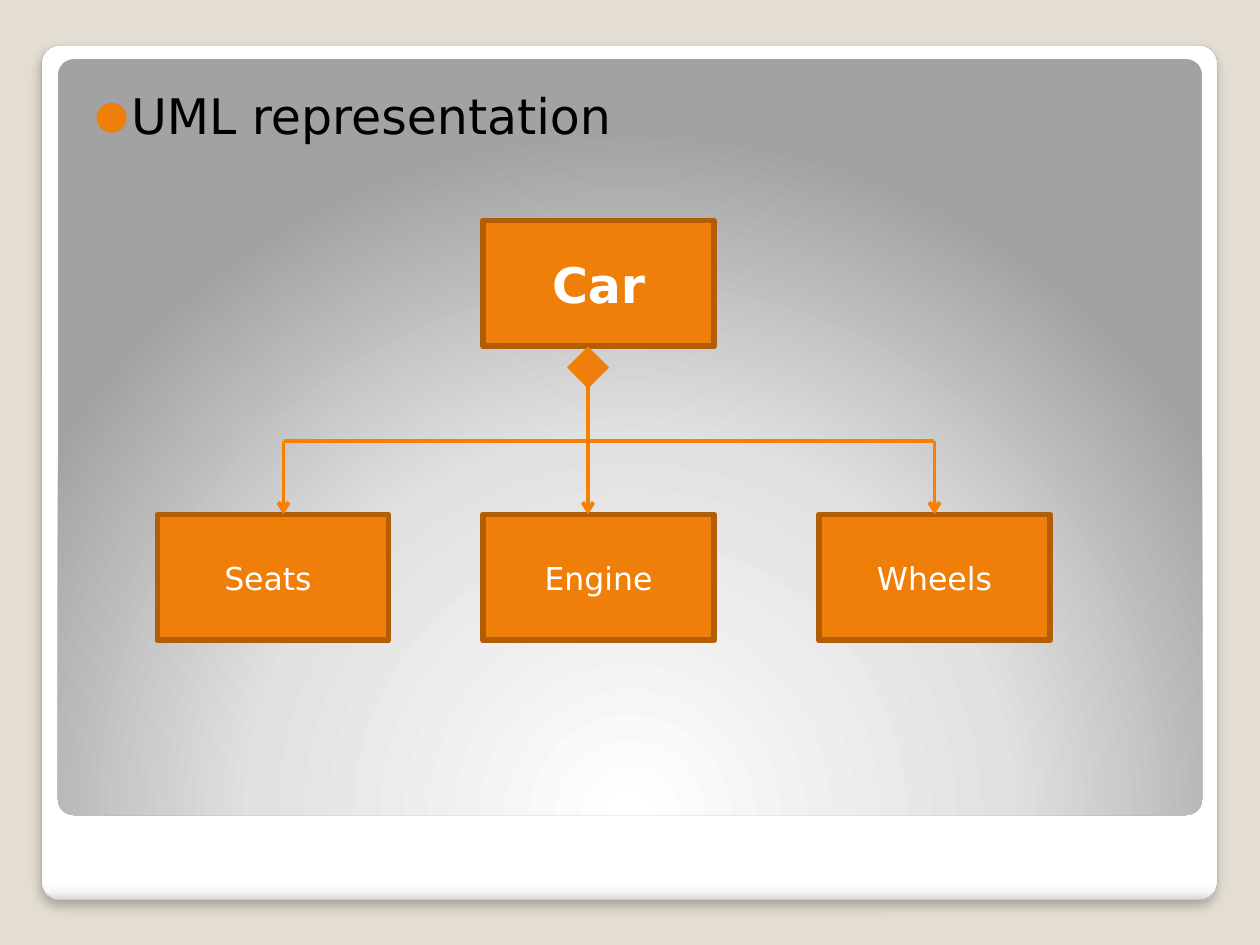
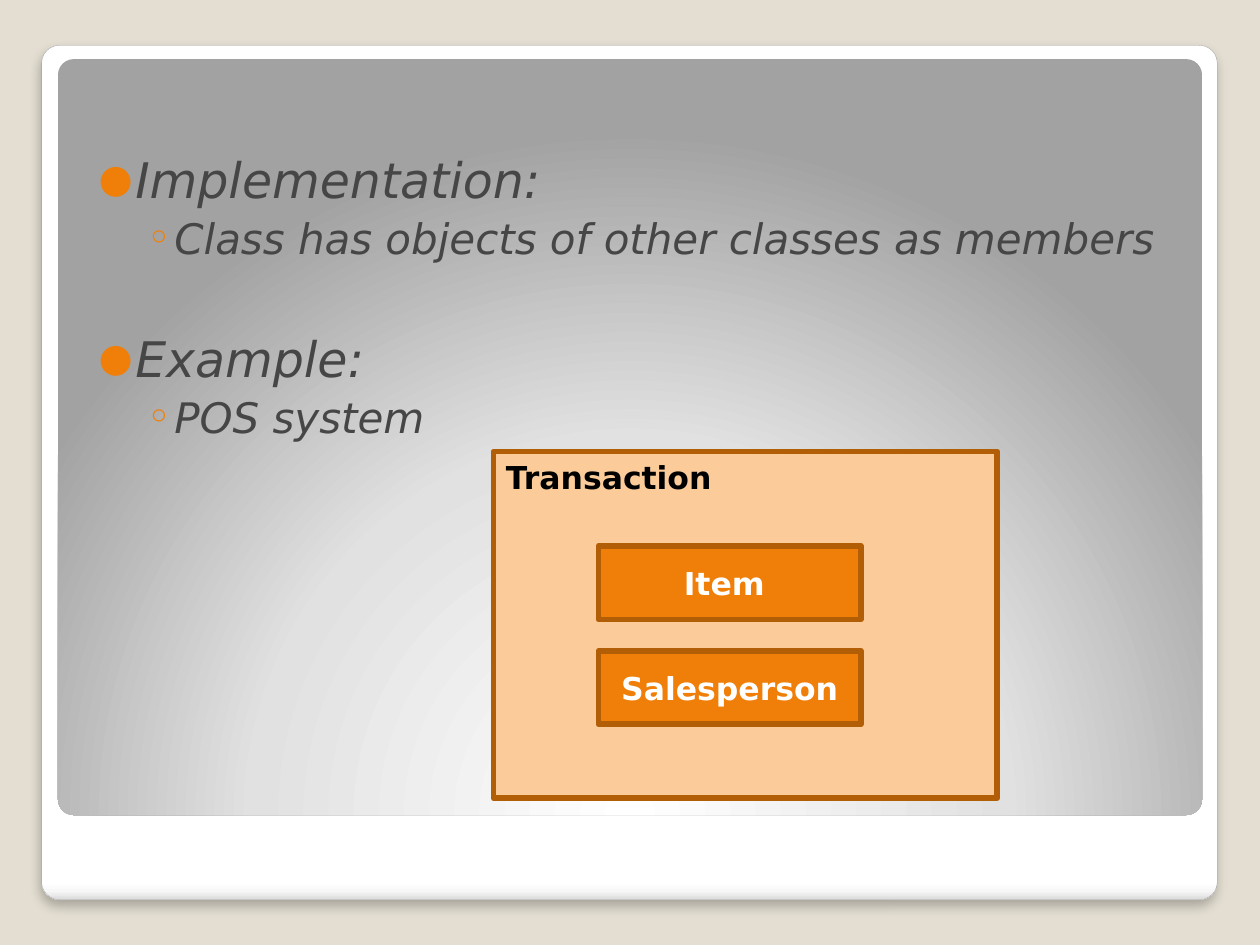
"""Builds two slides on class composition: a UML tree and a nested-class example."""
from lxml import etree
from pptx import Presentation
from pptx.dml.color import RGBColor
from pptx.enum.shapes import MSO_CONNECTOR, MSO_SHAPE as SHAPE
from pptx.enum.text import MSO_ANCHOR as ANCHOR, PP_ALIGN as ALIGN
from pptx.oxml import parse_xml
from pptx.oxml.ns import nsdecls, qn
from pptx.util import Pt

COLORS = {
    "page": "E3DED1", "frame_line": "A4A4A4", "orange": "F07F09", "edge": "B25E07",
    "wire": "F97F00", "pale": "FBCC9A", "white": "FFFFFF", "black": "000000", "body": "464646",
}
FONT = "DejaVu Sans"
FRAME = (23.8, 25.9, 671.8, 488.2)
FRAME_STOPS = [(0, "FFFFFF"), (98, "FFFFFF"), (99, "F7F7F7"), (100, "DADADA")]
PANEL = (33.1, 33.8, 653.8, 432)
PANEL_STOPS = [(0, "FFFFFF"), (55, "E1E1E1"), (100, "A2A2A2")]
LINEAR = '<a:lin ang="5400000" scaled="0"/>'
RADIAL = '<a:path path="circle"><a:fillToRect l="50000" t="175000" r="50000" b="-75000"/></a:path>'

LEVELS = [
    {"size": 28, "left": 20.9, "hang": 20.9, "char": "\u25cf", "scale": 80},
    {"size": 24, "left": 43.2, "hang": 15.8, "char": "\u25e6", "scale": 100},
]
GAP, SECTION_GAP = 2.5, 37.6

UML_TITLE = [(0, "UML representation", GAP)]
WHOLE = "Car"
PARTS = [("Seats ", 90, 162), ("Engine", 276, 336), ("Wheels", 468, 534)]
BOX_W, BOX_H = 132, 72
WHOLE_TOP, BAR_Y, PARTS_TOP = 126, 252, 294
DIAMOND = 24

NOTES = [
    (0, "Implementation:", GAP),
    (1, "Class has objects of other classes as members", GAP),
    (0, "Example: ", SECTION_GAP),
    (1, "POS system ", GAP),
]
OUTER = "Transaction "
MEMBERS = ["Item ", "Salesperson"]
MEMBER_TOP, MEMBER_STEP = 312, 60


def rgb(name):
    return RGBColor.from_string(COLORS[name])


def add_run(p, text, size, color, bold=False, italic=False):
    r = p.add_run()
    r.text = text
    f = r.font
    f.name, f.size, f.bold, f.italic = FONT, Pt(size), bold, italic
    f.color.rgb = rgb(color)


def add_shape(s, kind, at, fill=None, line=None, width=3.35):
    sp = s.shapes.add_shape(kind, *map(Pt, at))
    sp.shadow.inherit = False
    if fill:
        sp.fill.solid()
        sp.fill.fore_color.rgb = rgb(fill)
    if line:
        sp.line.color.rgb = rgb(line)
        sp.line.width = Pt(width)
    else:
        sp.line.fill.background()
    return sp


def add_panel(s, at, stops, direction, line=None):
    sp = add_shape(s, SHAPE.ROUNDED_RECTANGLE, at, line=line, width=0.16)
    sp.adjustments[0] = 0.021
    gs = "".join(f'<a:gs pos="{pos * 1000}"><a:srgbClr val="{c}"/></a:gs>' for pos, c in stops)
    grad = f'<a:gradFill {nsdecls("a")} rotWithShape="1"><a:gsLst>{gs}</a:gsLst>{direction}</a:gradFill>'
    sp._element.spPr.find(qn("a:prstGeom")).addnext(parse_xml(grad))
    return sp


def add_box(s, at, text, size=18, bold=False):
    sp = add_shape(s, SHAPE.RECTANGLE, at, "orange", "edge")
    tf = sp.text_frame
    tf.vertical_anchor = ANCHOR.MIDDLE
    p = tf.paragraphs[0]
    p.alignment = ALIGN.CENTER
    add_run(p, text, size, "white", bold)


def add_wire(s, start, end, head=None, tail=None):
    cx = s.shapes.add_connector(MSO_CONNECTOR.STRAIGHT, *map(Pt, start + end))
    cx.line.color.rgb = rgb("wire")
    cx.line.width = Pt(2.25)
    spPr = cx._element.spPr
    for tag, kind in (("a:headEnd", head), ("a:tailEnd", tail)):
        if kind:
            etree.SubElement(spPr.find(qn("a:ln")), qn(tag), type=kind)
    etree.SubElement(spPr, qn("a:effectLst"))


def add_bullets(s, at, items, color, italic=False):
    tf = s.shapes.add_textbox(*map(Pt, at)).text_frame
    tf.word_wrap = True
    tf.margin_left, tf.margin_top = Pt(14.4), Pt(7.2)
    for i, (level, text, before) in enumerate(items):
        p = tf.add_paragraph() if i else tf.paragraphs[0]
        style = LEVELS[level]
        p.level, p.space_before = level, Pt(before)
        pPr = p._p.get_or_add_pPr()
        pPr.set("marL", str(Pt(style["left"])))
        pPr.set("indent", str(-Pt(style["hang"])))
        clr = etree.SubElement(pPr, qn("a:buClr"))
        etree.SubElement(clr, qn("a:srgbClr"), val=COLORS["orange"])
        etree.SubElement(pPr, qn("a:buSzPct"), val=str(style["scale"] * 1000))
        etree.SubElement(pPr, qn("a:buFont"), typeface=FONT)
        etree.SubElement(pPr, qn("a:buChar"), char=style["char"])
        add_run(p, text, style["size"], color, italic=italic)


def add_slide(prs):
    s = prs.slides.add_slide(prs.slide_layouts[6])
    s.background.fill.solid()
    s.background.fill.fore_color.rgb = rgb("page")
    frame = add_panel(s, FRAME, FRAME_STOPS, LINEAR, "frame_line")
    shadow = etree.SubElement(frame._element.spPr.find(qn("a:effectLst")), qn("a:outerShdw"),
                              blurRad=str(Pt(6)), dist=str(Pt(4)), dir="5400000",
                              algn="t", rotWithShape="0")
    clr = etree.SubElement(shadow, qn("a:srgbClr"), val=COLORS["black"])
    etree.SubElement(clr, qn("a:alpha"), val="25000")
    add_panel(s, PANEL, PANEL_STOPS, RADIAL)
    return s


def build_uml(prs):
    s = add_slide(prs)
    add_bullets(s, (39.6, 41.8, 644.4, 329.8), UML_TITLE, "black")
    _, middle_x, trunk_x = PARTS[1]
    add_box(s, (middle_x, WHOLE_TOP, BOX_W, BOX_H), WHOLE, 28, True)
    for text, x, _ in PARTS:
        add_box(s, (x, PARTS_TOP, BOX_W, BOX_H), text)
    whole_bottom = WHOLE_TOP + BOX_H
    add_wire(s, (trunk_x, whole_bottom + DIAMOND * 0.75), (trunk_x, BAR_Y), head="diamond")
    add_shape(s, SHAPE.DIAMOND, (trunk_x - DIAMOND / 2, whole_bottom, DIAMOND, DIAMOND), "orange")
    add_wire(s, (PARTS[0][2], BAR_Y), (PARTS[-1][2], BAR_Y))
    for _, _, x in PARTS:
        add_wire(s, (x, BAR_Y), (x, PARTS_TOP), tail="arrow")


def build_example(prs):
    s = add_slide(prs)
    add_bullets(s, (42, 78, 644.4, 384), NOTES, "body", italic=True)
    outer = add_shape(s, SHAPE.RECTANGLE, (282, 258, 288, 198), "pale", "edge")
    tf = outer.text_frame
    tf.vertical_anchor = ANCHOR.TOP
    tf.paragraphs[0].alignment = ALIGN.LEFT
    add_run(tf.paragraphs[0], OUTER, 18, "black", True)
    for i, text in enumerate(MEMBERS):
        add_box(s, (342, MEMBER_TOP + i * MEMBER_STEP, 150, 42), text, bold=True)


prs = Presentation()
prs.slide_width, prs.slide_height = Pt(720), Pt(540)
build_uml(prs)
build_example(prs)
prs.save("out.pptx")
